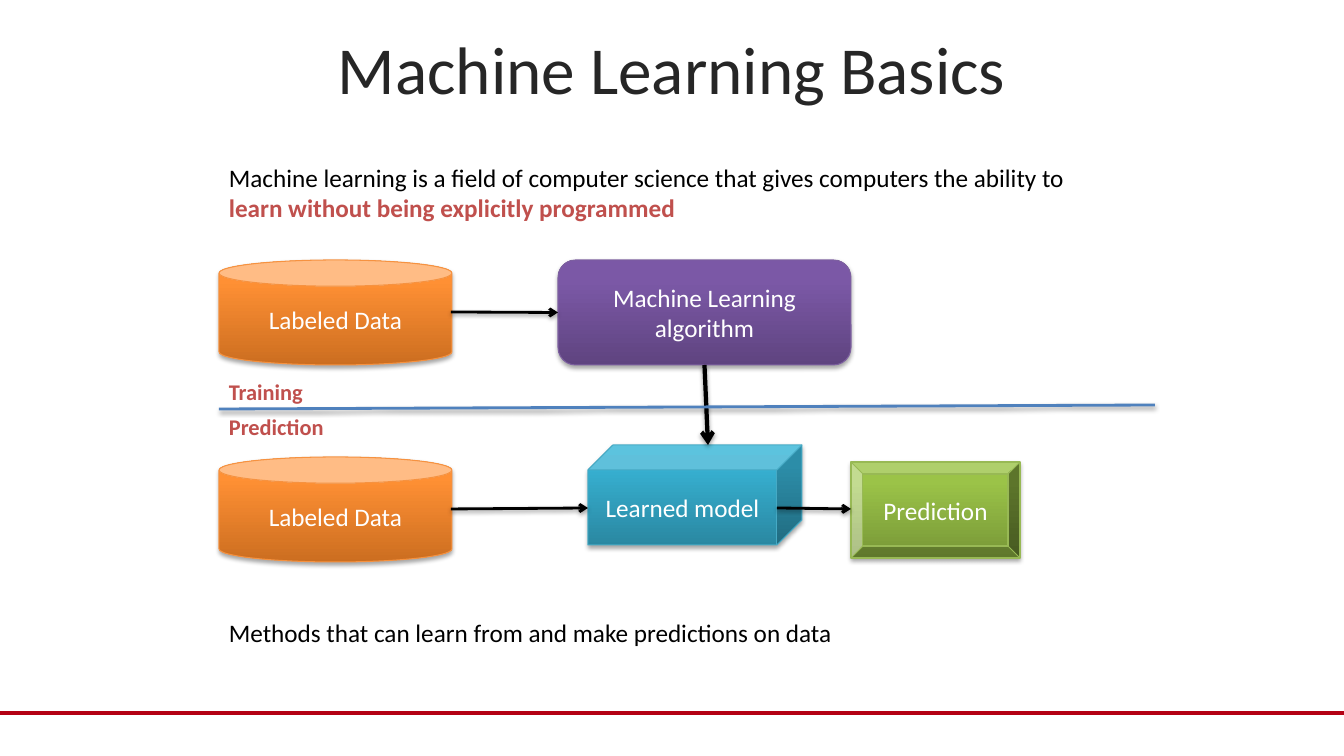
from copy import deepcopy

from pptx import Presentation
from pptx.dml.color import RGBColor
from pptx.enum.shapes import MSO_CONNECTOR, MSO_SHAPE
from pptx.enum.text import MSO_ANCHOR, PP_ALIGN
from pptx.oxml import parse_xml
from pptx.oxml.ns import nsdecls, qn
from pptx.util import Pt

CAN, CUBE, BEVEL = MSO_SHAPE.CAN, MSO_SHAPE.CUBE, MSO_SHAPE.BEVEL
ROUNDED = MSO_SHAPE.ROUNDED_RECTANGLE
STRAIGHT = MSO_CONNECTOR.STRAIGHT
CENTER, LEFT = PP_ALIGN.CENTER, PP_ALIGN.LEFT
MIDDLE, TOP = MSO_ANCHOR.MIDDLE, MSO_ANCHOR.TOP

BLACK = RGBColor(0x00, 0x00, 0x00)
WHITE = RGBColor(0xFF, 0xFF, 0xFF)
CHARCOAL = RGBColor(0x26, 0x26, 0x26)
RED = RGBColor(0xC0, 0x50, 0x4D)
CRIMSON = RGBColor(0xB4, 0x01, 0x14)
BLUE = RGBColor(0x4F, 0x81, 0xBD)
ORANGE = [RGBColor(0xCC, 0x6E, 0x20), RGBColor(0xFF, 0x90, 0x34), RGBColor(0xFF, 0x91, 0x36)]
ORANGE_EDGE = RGBColor(0xF6, 0x92, 0x40)
PURPLE = [RGBColor(0x5F, 0x44, 0x80), RGBColor(0x7B, 0x58, 0xA6), RGBColor(0x7C, 0x57, 0xA8)]
PURPLE_EDGE = RGBColor(0x7D, 0x60, 0xA0)
TEAL = [RGBColor(0x2A, 0x88, 0xA2), RGBColor(0x37, 0xB1, 0xD2), RGBColor(0x34, 0xB4, 0xD6)]
TEAL_EDGE = RGBColor(0x46, 0xAA, 0xC5)
GREEN = [RGBColor(0x77, 0x97, 0x37), RGBColor(0x9B, 0xC3, 0x48), RGBColor(0x9D, 0xC7, 0x46)]
GREEN_EDGE = RGBColor(0x98, 0xB9, 0x55)

WIDTH, HEIGHT = 1344, 756
SCALE = 12192000 / WIDTH
STOPS = (0, 0.8, 1)

TITLE = {"size": Pt(48), "name": "Calibri", "color": CHARCOAL}
BODY = {"size": Pt(18), "name": "Calibri", "color": BLACK}
STRONG = {**BODY, "color": RED, "bold": True}
PHASE = {**STRONG, "size": Pt(16)}
LABEL = {**BODY, "color": WHITE}

title_runs = [("Machine Learning Basics", TITLE)]
texts = [
    ((219, 157, 871, 72), True, [
        ("Machine learning is a field of computer science that gives computers the ability to ", BODY),
        ("learn without being explicitly programmed", STRONG),
    ]),
    ((219, 612, 936, 40), True, [("Methods that can learn from and make predictions on data", BODY)]),
    ((219, 373, 95, 37), False, [("Training", PHASE)]),
    ((219, 408, 116, 37), False, [("Prediction", PHASE)]),
]
nodes = {
    "training data": (CAN, (219, 260, 233, 105), "Labeled Data", ORANGE, ORANGE_EDGE),
    "new data": (CAN, (219, 457, 233, 105), "Labeled Data", ORANGE, ORANGE_EDGE),
    "algorithm": (ROUNDED, (558, 260, 293, 105), "Machine Learning algorithm", PURPLE, PURPLE_EDGE),
    "model": (CUBE, (588, 445, 214, 100), "Learned model", TEAL, TEAL_EDGE),
    "prediction": (BEVEL, (851, 462, 169, 96), "Prediction", GREEN, GREEN_EDGE),
}
lines = [
    ((0, 713, 1344, 713), CRIMSON, 2.25, False, False, None, None),
    ((451, 312, 558, 312), BLACK, 2, True, True, None, ("algorithm", 1)),
    ((451, 509, 588, 508), BLACK, 2, True, True, None, None),
    ((777, 508, 851, 509), BLACK, 2, True, True, None, None),
    ((705, 365, 708, 445), BLACK, 3, True, True, ("algorithm", 2), None),
    ((219, 409, 1155, 405), BLUE, 2, False, True, None, None),
]


def emu(lengths):
    return [round(length * SCALE) for length in lengths]


def write(frame, runs, align, anchor, wrap=True):
    frame.word_wrap = wrap
    frame.vertical_anchor = anchor
    paragraph = frame.paragraphs[0]
    paragraph.alignment = align
    for text, style in runs:
        run = paragraph.add_run()
        run.text = text
        for key, value in style.items():
            if key == "color":
                run.font.color.rgb = value
            else:
                setattr(run.font, key, value)


def set_shadow(shape, alpha=0, distance=0):
    shadow = (
        f'<a:outerShdw blurRad="40000" dist="{distance}" dir="5400000" rotWithShape="0">'
        f'<a:srgbClr val="000000"><a:alpha val="{alpha}"/></a:srgbClr></a:outerShdw>'
    ) if alpha else ""
    effects = parse_xml(f'<a:effectLst {nsdecls("a")}>{shadow}</a:effectLst>')
    shape._element.spPr.append(effects)


def set_gradient(shape, colors):
    shape.fill.gradient()
    shape.fill.gradient_angle = 90
    stop_list = shape._element.spPr.find(".//" + qn("a:gsLst"))
    stop_list.append(deepcopy(stop_list[-1]))
    for stop, position, color in zip(shape.fill.gradient_stops, STOPS, colors):
        stop.position = position
        stop.color.rgb = color


def add_node(slide, kind, box, label, colors, edge):
    shape = slide.shapes.add_shape(kind, *emu(box))
    set_gradient(shape, colors)
    shape.line.color.rgb = edge
    shape.line.width = Pt(0.75)
    set_shadow(shape, 35000, 23000)
    write(shape.text_frame, [(label, LABEL)], CENTER, MIDDLE)
    return shape


def add_line(slide, shapes, ends, color, width, arrow, shadow, start, finish):
    connector = slide.shapes.add_connector(STRAIGHT, *emu(ends))
    if start:
        connector.begin_connect(shapes[start[0]], start[1])
    if finish:
        connector.end_connect(shapes[finish[0]], finish[1])
    connector.line.color.rgb = color
    connector.line.width = Pt(width)
    if arrow:
        head = parse_xml(f'<a:tailEnd {nsdecls("a")} type="arrow"/>')
        connector.line._get_or_add_ln().append(head)
    set_shadow(connector, 38000 if shadow else 0, 20000)


def main():
    presentation = Presentation()
    presentation.slide_width, presentation.slide_height = emu((WIDTH, HEIGHT))
    slide = presentation.slides.add_slide(presentation.slide_layouts[5])
    title = slide.shapes.title
    title.left, title.top, title.width, title.height = emu((229, 20, 886, 95))
    write(title.text_frame, title_runs, CENTER, MIDDLE)
    shapes = {name: add_node(slide, *node) for name, node in nodes.items()}
    for line in lines:
        add_line(slide, shapes, *line)
    for box, wrap, runs in texts:
        frame = slide.shapes.add_textbox(*emu(box)).text_frame
        write(frame, runs, LEFT, TOP, wrap)
    presentation.save("out.pptx")


if __name__ == "__main__":
    main()
